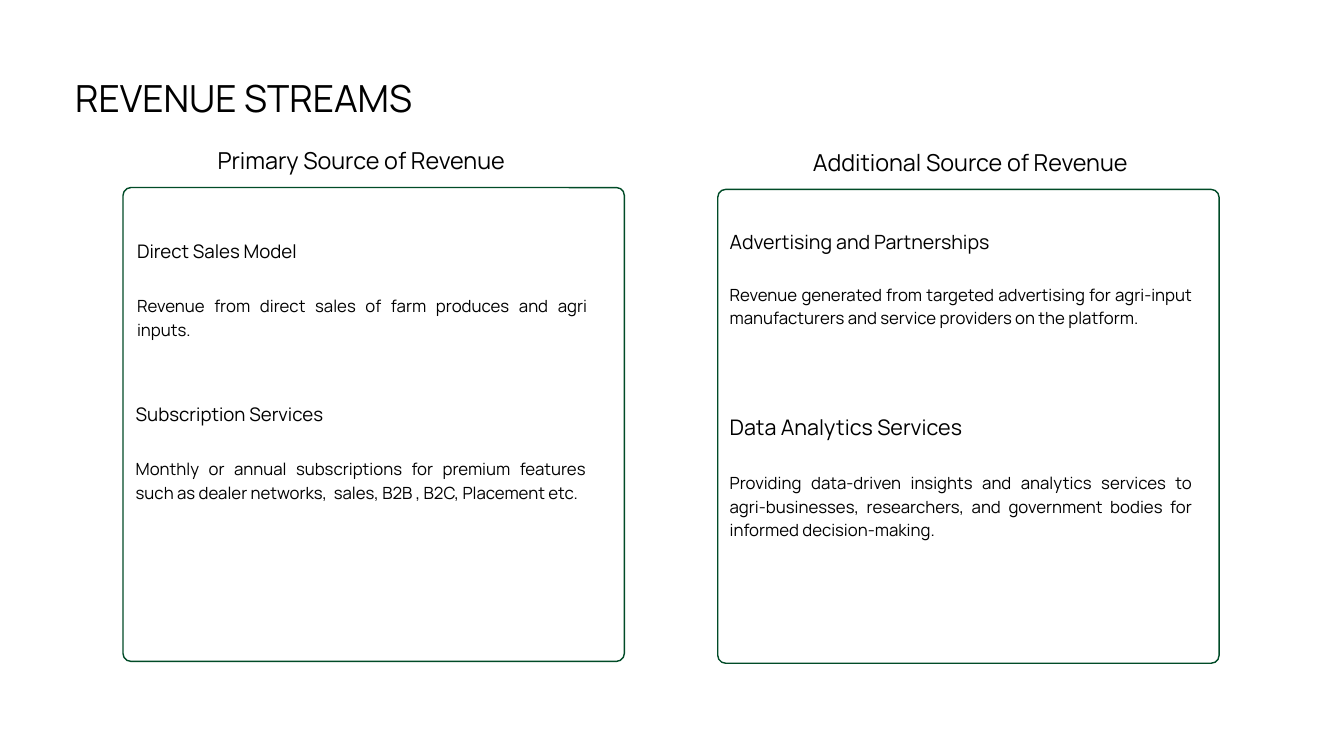
from pptx import Presentation
from pptx.dml.color import RGBColor
from pptx.enum.shapes import MSO_SHAPE
from pptx.enum.text import MSO_ANCHOR, MSO_AUTO_SIZE, PP_ALIGN
from pptx.util import Cm, Pt

FONT = "Manrope"
INK = "000000"
GREEN = "004B27"
LEADING = 1.4  # line height as a multiple of the text size

PANEL_WIDTH, PANEL_HEIGHT, CORNER_RADIUS = 18.95, 17.91, 0.3
HEADING_WIDTH, HEADING_HEIGHT = 15.32, 1.22
STREAM_HEIGHT = 4.7
DESCRIPTION_SIZE = 18

# Streams: left, top, width, name size, gap in points, name, description
SOURCES = [
    {
        "heading": "Primary Source of Revenue",
        "heading_at": (5.99, 5.33),
        "panel_at": (4.65, 7.09),
        "streams": [
            (5.18, 8.94, 17.02, 20, 32.2, "Direct Sales Model",
             "Revenue from direct sales of farm produces and agri inputs."),
            (5.13, 15.09, 17.02, 20, 32.2, "Subscription Services",
             "Monthly or annual subscriptions for premium features such as "
             "dealer networks,  sales, B2B , B2C, Placement etc."),
        ],
    },
    {
        "heading": "Additional Source of Revenue",
        "heading_at": (29.01, 5.44),
        "panel_at": (27.13, 7.16),
        "streams": [
            (27.58, 8.56, 17.48, 21, 29.4, "Advertising and Partnerships",
             "Revenue generated from targeted advertising for agri-input "
             "manufacturers and service providers on the platform."),
            (27.58, 15.47, 17.48, 23, 32.2, "Data Analytics Services",
             "Providing data-driven insights and analytics services to "
             "agri-businesses, researchers, and government bodies for "
             "informed decision-making."),
        ],
    },
]


def color(hex_code):
    return RGBColor.from_string(hex_code)


def prepare_frame(frame):
    frame.word_wrap = True
    frame.auto_size = MSO_AUTO_SIZE.NONE
    frame.vertical_anchor = MSO_ANCHOR.TOP
    frame.margin_left = frame.margin_right = 0
    frame.margin_top = frame.margin_bottom = 0


def format_paragraph(paragraph, size, align):
    paragraph.alignment = align
    paragraph.line_spacing = Pt(size * LEADING)
    for run in paragraph.runs:
        run.font.name = FONT
        run.font.size = Pt(size)
        run.font.color.rgb = color(INK)


def add_text_frame(slide, left, top, width, height):
    box = slide.shapes.add_textbox(Cm(left), Cm(top), Cm(width), Cm(height))
    prepare_frame(box.text_frame)
    return box.text_frame


def set_title(slide, text):
    title = slide.shapes.title
    title.left, title.top = Cm(2.84), Cm(2.54)
    title.width, title.height = Cm(13.56), Cm(1.98)
    prepare_frame(title.text_frame)
    title.text_frame.text = text
    format_paragraph(title.text_frame.paragraphs[0], 40, PP_ALIGN.LEFT)


def add_panel(slide, left, top):
    panel = slide.shapes.add_shape(
        MSO_SHAPE.ROUNDED_RECTANGLE,
        Cm(left), Cm(top), Cm(PANEL_WIDTH), Cm(PANEL_HEIGHT))
    panel.adjustments[0] = CORNER_RADIUS / PANEL_HEIGHT
    panel.shadow.inherit = False
    panel.fill.background()
    panel.line.color.rgb = color(GREEN)
    panel.line.width = Pt(1.5)


def add_heading(slide, left, top, text):
    frame = add_text_frame(slide, left, top, HEADING_WIDTH, HEADING_HEIGHT)
    frame.text = text
    format_paragraph(frame.paragraphs[0], 25, PP_ALIGN.CENTER)


def add_stream(slide, left, top, width, name_size, gap, name, description):
    frame = add_text_frame(slide, left, top, width, STREAM_HEIGHT)
    frame.text = name
    format_paragraph(frame.paragraphs[0], name_size, PP_ALIGN.JUSTIFY)
    details = frame.add_paragraph()
    details.text = description
    details.space_before = Pt(gap)
    format_paragraph(details, DESCRIPTION_SIZE, PP_ALIGN.JUSTIFY)


def main():
    presentation = Presentation()
    presentation.slide_width = Cm(50.8)
    presentation.slide_height = Cm(28.575)
    title_only = presentation.slide_layouts[5]
    slide = presentation.slides.add_slide(title_only)

    set_title(slide, "REVENUE STREAMS")
    for source in SOURCES:
        add_panel(slide, *source["panel_at"])
        add_heading(slide, *source["heading_at"], source["heading"])
        for stream in source["streams"]:
            add_stream(slide, *stream)

    presentation.save("out.pptx")


if __name__ == "__main__":
    main()
